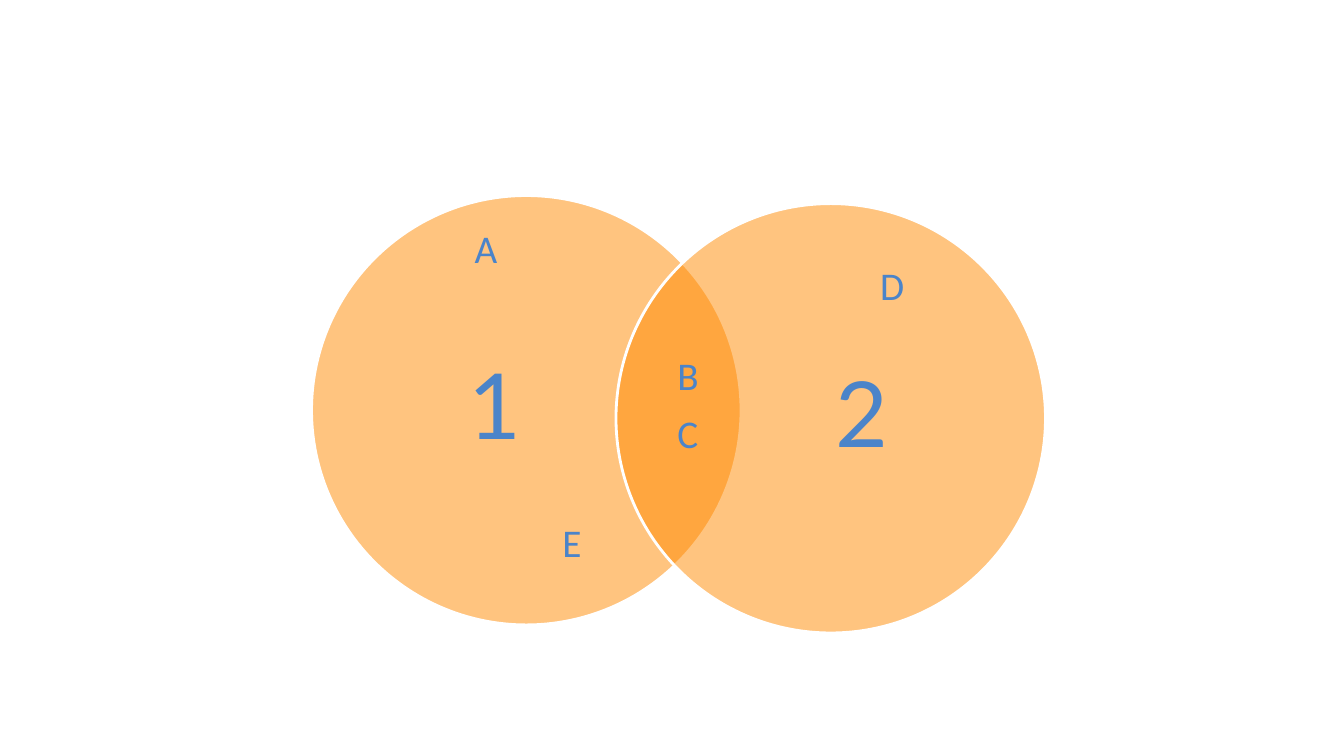
from lxml.etree import SubElement
from pptx import Presentation
from pptx.dml.color import RGBColor
from pptx.enum.shapes import MSO_SHAPE
from pptx.enum.text import MSO_ANCHOR, MSO_AUTO_SIZE, PP_ALIGN
from pptx.oxml.ns import qn
from pptx.util import Inches, Pt

COLORS = {"orange": "FF8A00", "white": "FFFFFF", "blue": "4B84C9"}
SIZE = 4.26
SETS = [("1", 3.09, 1.94, 3.68), ("2", 6.11, 2.02, 7.32)]
ITEMS = [("A", 4.61, 2.18), ("E", 5.48, 5.09), ("D", 8.63, 2.54),
         ("B", 6.62, 3.44), ("C", 6.62, 4.01)]


def color(name):
    """Return the named colour."""
    return RGBColor.from_string(COLORS[name])


def add_circle(slide, left, top):
    """Draw one half-transparent circle of the diagram."""
    circle = slide.shapes.add_shape(
        MSO_SHAPE.OVAL, Inches(left), Inches(top), Inches(SIZE), Inches(SIZE))
    circle.shadow.inherit = False
    circle.fill.solid()
    circle.fill.fore_color.rgb = color("orange")
    tint = circle.fill._xPr.find(qn("a:solidFill"))[0]
    SubElement(tint, qn("a:alpha"), val="50000")
    circle.line.color.rgb = color("white")
    circle.line.width = Pt(2)


def add_text(slide, text, box, font, size):
    """Add a blue text box and return its frame."""
    frame = slide.shapes.add_textbox(*map(Inches, box)).text_frame
    frame.word_wrap = True
    frame.text = text
    style = frame.paragraphs[0].runs[0].font
    style.name = font
    style.size = Pt(size)
    style.color.rgb = color("blue")
    return frame


def add_number(slide, text, left, top):
    """Add the large centred number of a circle."""
    frame = add_text(slide, text, (left, top, 2.45, 3.25), "Lato", 65)
    frame.margin_left = frame.margin_right = 0
    frame.margin_top = frame.margin_bottom = 0
    frame.vertical_anchor = MSO_ANCHOR.MIDDLE
    frame.paragraphs[0].alignment = PP_ALIGN.CENTER
    frame.paragraphs[0].line_spacing = 0.9


def add_item(slide, text, left, top):
    """Add the letter of one set member."""
    frame = add_text(slide, text, (left, top, 0.63, 0.57), "Calibri", 28)
    frame.auto_size = MSO_AUTO_SIZE.SHAPE_TO_FIT_TEXT


def main():
    """Build and save the slide."""
    deck = Presentation()
    deck.slide_width = Inches(13.33)
    deck.slide_height = Inches(7.5)
    slide = deck.slides.add_slide(deck.slide_layouts[6])
    for text, left, top, inner in SETS:
        add_circle(slide, left, top)
        add_number(slide, text, inner, top + 0.5)
    for text, left, top in ITEMS:
        add_item(slide, text, left, top)
    deck.save("out.pptx")


if __name__ == "__main__":
    main()
